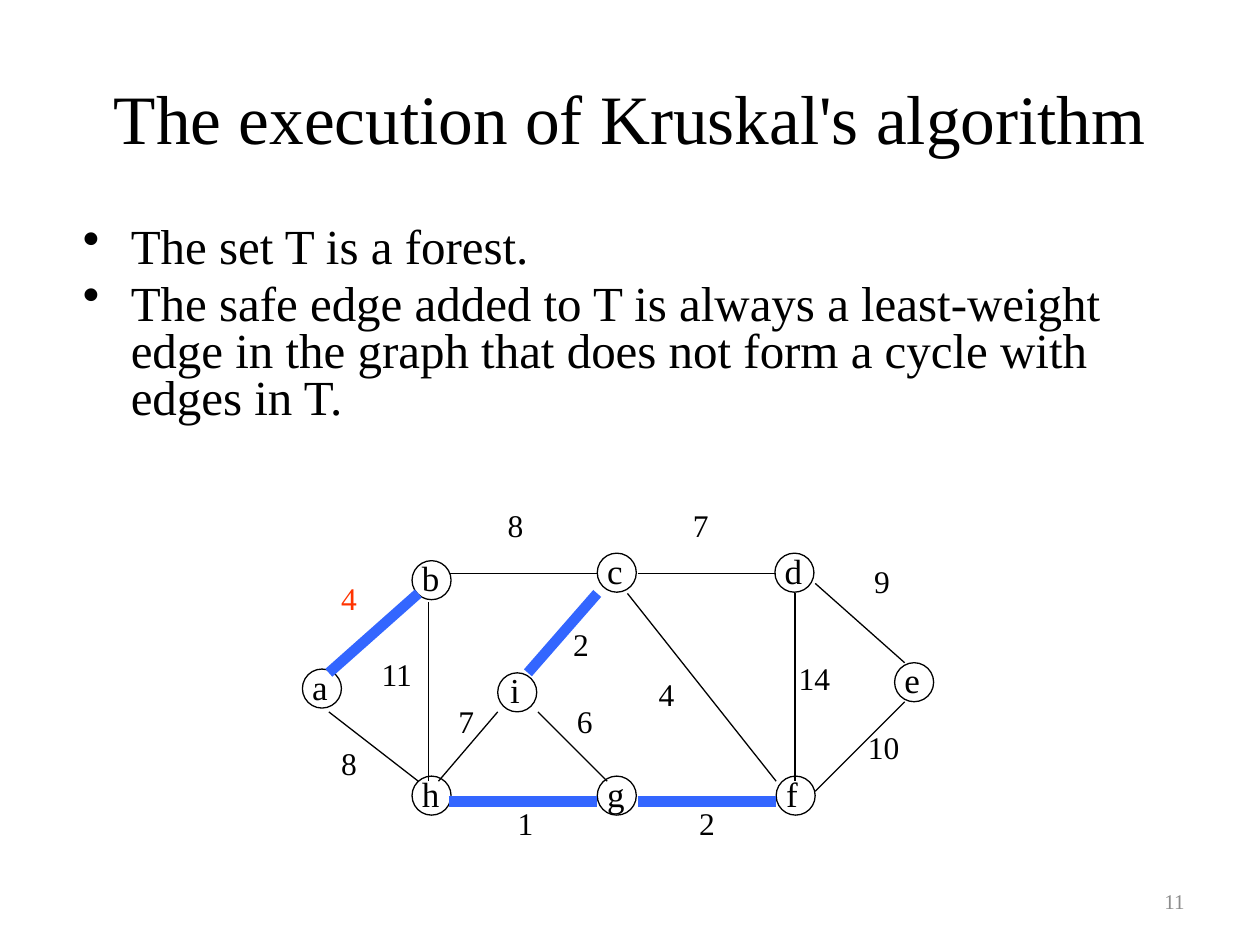
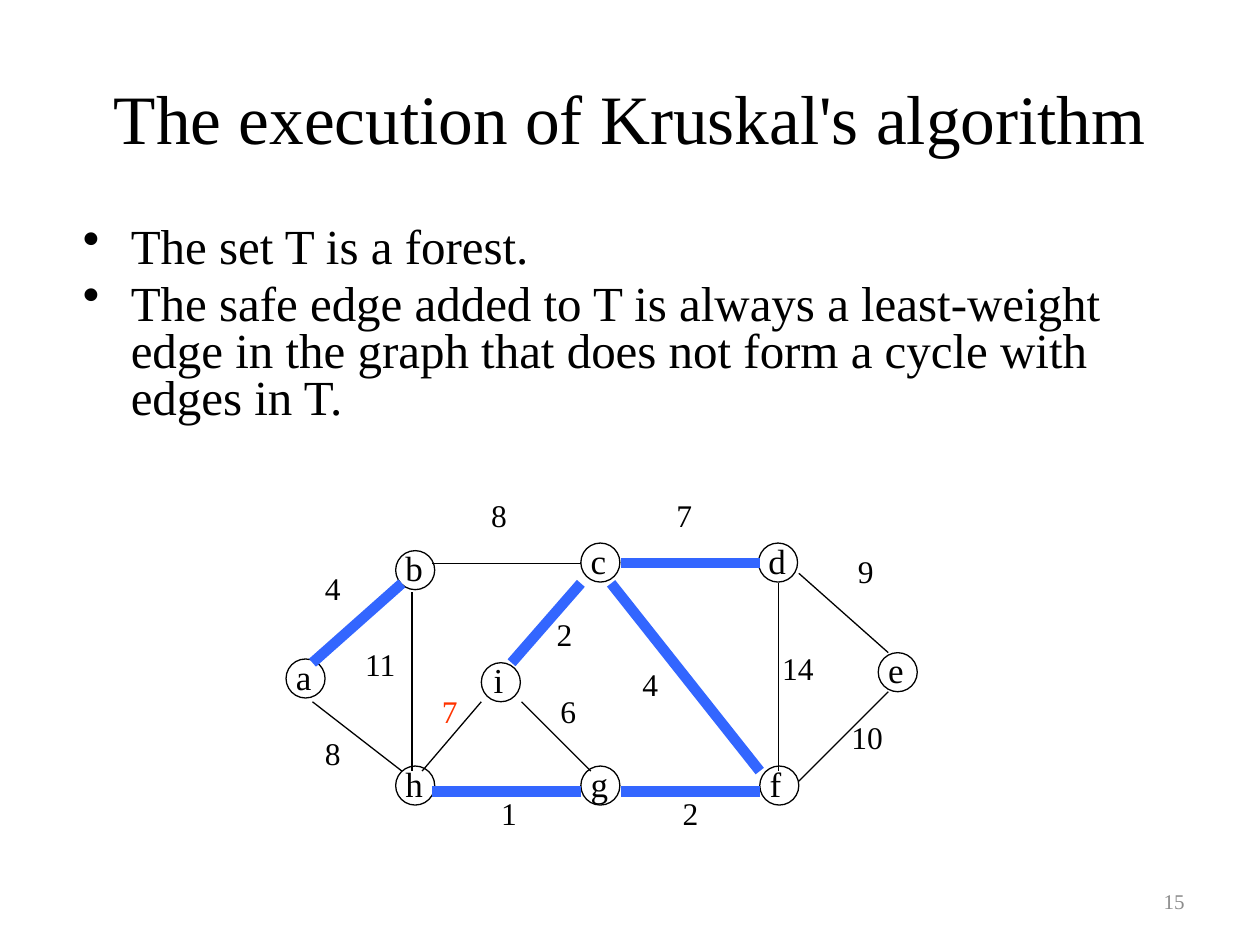
from lxml import etree
from pptx import Presentation
from pptx.dml.color import RGBColor
from pptx.enum.shapes import MSO_CONNECTOR, MSO_SHAPE
from pptx.enum.text import MSO_ANCHOR, PP_ALIGN
from pptx.oxml.ns import qn
from pptx.util import Inches, Pt

COLORS = {"text": "000000", "number": "8C8C8C", "tree": "3366FF", "current": "FF3300"}
FONT = "Times New Roman"
TITLE = "The execution of Kruskal's algorithm"
BULLETS = [
    "The set T is a forest.",
    "The safe edge added to T is always a least-weight edge in the graph "
    "that does not form a cycle with edges in T.",
]

# Graph nodes: left and top of each circle
NODE_SIZE = 0.31
NODES = {
    "a": (2.4, 5.31), "b": (3.27, 4.45), "h": (3.27, 6.16),
    "c": (4.74, 4.39), "d": (6.15, 4.39), "e": (7.1, 5.26),
    "f": (6.16, 6.16), "g": (4.74, 6.16), "i": (3.95, 5.34),
}

# Graph edges: start, end, weight, left and top of the weight label
EDGES = {
    "ab": ((2.61, 5.34), (3.32, 4.71), 4, (2.61, 4.55)),
    "ah": ((2.61, 5.65), (3.32, 6.2), 8, (2.61, 5.86)),
    "bh": ((3.4, 4.78), (3.4, 6.2), 11, (2.93, 5.15)),
    "bc": ((3.56, 4.55), (4.74, 4.55), 8, (3.93, 3.97)),
    "hg": ((3.56, 6.36), (4.74, 6.36), 1, (4.01, 6.33)),
    "gf": ((5.06, 6.36), (6.16, 6.36), 2, (5.45, 6.33)),
    "cf": ((4.98, 4.71), (6.16, 6.2), 4, (5.13, 5.31)),
    "cd": ((5.06, 4.55), (6.16, 4.55), 7, (5.4, 3.97)),
    "df": ((6.31, 4.71), (6.31, 6.2), 14, (6.24, 5.18)),
    "de": ((6.47, 4.63), (7.18, 5.26), 9, (6.84, 4.41)),
    "fe": ((6.47, 6.28), (7.18, 5.57), 10, (6.79, 5.73)),
    "ig": ((4.27, 5.65), (4.82, 6.2), 6, (4.48, 5.52)),
    "hi": ((3.48, 6.2), (3.95, 5.65), 7, (3.54, 5.52)),
    "ic": ((4.19, 5.34), (4.74, 4.71), 2, (4.45, 4.91)),
}

# Steps: slide number, edges in T, edge being examined, shift of the graph
STEPS = [
    (11, {"ab", "hg", "gf", "ic"}, "ab", (0, 0)),
    (15, {"ab", "hg", "gf", "ic", "cf", "cd"}, "hi", (-0.13, -0.08)),
]


def add_run(p, text, size, color="text"):
    r = p.add_run()
    r.text = text
    r.font.name = FONT
    r.font.size = Pt(size)
    r.font.color.rgb = RGBColor.from_string(COLORS[color])


def add_box(shapes, left, top, width, height, anchor=MSO_ANCHOR.TOP):
    box = shapes.add_textbox(Inches(left), Inches(top), Inches(width), Inches(height))
    tf = box.text_frame
    tf.word_wrap = True
    tf.vertical_anchor = anchor
    return tf


prs = Presentation()
prs.slide_width, prs.slide_height = Inches(10), Inches(7.5)

for number, tree, current, (dx, dy) in STEPS:
    s = prs.slides.add_slide(prs.slide_layouts[6])

    # Title
    p = add_box(s.shapes, 0.5, 0.3, 9, 1.25, MSO_ANCHOR.MIDDLE).paragraphs[0]
    p.alignment = PP_ALIGN.CENTER
    add_run(p, TITLE, 39.6)

    # Bullets
    tf = add_box(s.shapes, 0.5, 1.75, 9, 4.95)
    for n, text in enumerate(BULLETS):
        p = tf.add_paragraph() if n else tf.paragraphs[0]
        pPr = p._p.get_or_add_pPr()
        pPr.set("marL", str(Inches(0.44)))
        pPr.set("indent", str(Inches(-0.38)))
        etree.SubElement(pPr, qn("a:buChar")).set("char", "•")
        p.line_spacing = 0.8
        if n:
            p.space_before = Pt(5.6)
        add_run(p, text, 28)

    # Slide number
    p = add_box(s.shapes, 7.17, 6.95, 2.33, 0.4, MSO_ANCHOR.MIDDLE).paragraphs[0]
    p.alignment = PP_ALIGN.RIGHT
    add_run(p, str(number), 12, "number")

    # Nodes
    graph = s.shapes.add_group_shape()
    for name, (x, y) in NODES.items():
        label_x = x if name == "i" else x - 0.02
        tf = add_box(graph.shapes, label_x, y - 0.08, 0.34, 0.43)
        add_run(tf.paragraphs[0], name, 20)
        sp = graph.shapes.add_shape(MSO_SHAPE.OVAL, Inches(x), Inches(y),
                                    Inches(NODE_SIZE), Inches(NODE_SIZE))
        sp.shadow.inherit = False
        sp.fill.background()
        sp.line.color.rgb = RGBColor.from_string(COLORS["text"])
        sp.line.width = Pt(0.75)

    # Edges and weights
    for name, (start, end, weight, (x, y)) in EDGES.items():
        line = graph.shapes.add_connector(MSO_CONNECTOR.STRAIGHT,
                                          *[Inches(v) for v in start + end])
        etree.SubElement(line._element.spPr, qn("a:effectLst"))
        line.line.color.rgb = RGBColor.from_string(COLORS["tree" if name in tree else "text"])
        line.line.width = Pt(6 if name in tree else 0.75)
        tf = add_box(graph.shapes, x, y, 0.37 if weight < 10 else 0.53, 0.5)
        add_run(tf.paragraphs[0], str(weight), 18, "current" if name == current else "text")

    graph.left += Inches(dx)
    graph.top += Inches(dy)

prs.save("out.pptx")
